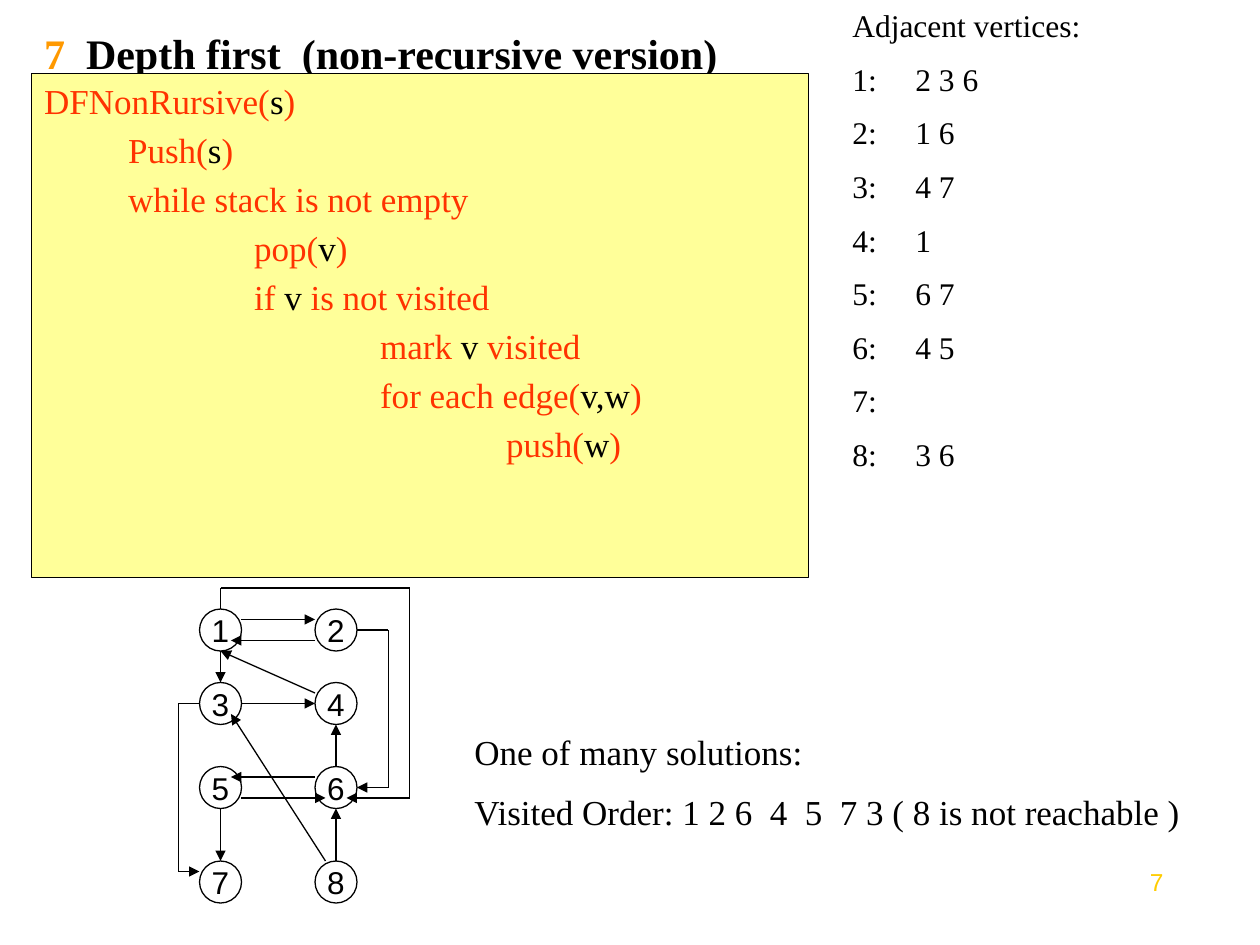
from dataclasses import dataclass
from itertools import cycle, product

from lxml import etree
from pptx import Presentation
from pptx.dml.color import RGBColor
from pptx.enum.shapes import MSO_CONNECTOR, MSO_SHAPE
from pptx.enum.text import MSO_ANCHOR, MSO_AUTO_SIZE, PP_ALIGN
from pptx.oxml.ns import qn
from pptx.util import Pt

STRAIGHT, OVAL = MSO_CONNECTOR.STRAIGHT, MSO_SHAPE.OVAL
TOP, MIDDLE = MSO_ANCHOR.TOP, MSO_ANCHOR.MIDDLE
FIXED, GROWING = MSO_AUTO_SIZE.NONE, MSO_AUTO_SIZE.SHAPE_TO_FIT_TEXT
LEFT, CENTER, RIGHT = PP_ALIGN.LEFT, PP_ALIGN.CENTER, PP_ALIGN.RIGHT


@dataclass(frozen=True)
class Theme:
    """Fonts, colours and type sizes of the slide."""
    serif: str = "Times New Roman"
    sans: str = "Arial"
    ink: str = "000000"
    accent: str = "FF9900"
    keyword: str = "FF3300"
    panel: str = "FFFF99"
    number: str = "FFCC00"
    title_size: int = 24
    text_size: int = 20
    label_size: int = 18
    number_size: int = 14
    line_width: float = 0.75


THEME = Theme()

CODE = [
    (0, "DFNonRursive(|s|)"),
    (1, "Push(|s|)"),
    (1, "while stack is not empty"),
    (2, "pop(|v|)"),
    (2, "if |v| is not visited"),
    (3, "mark |v| visited"),
    (3, "for each edge(|v,w|)"),
    (4, "push(|w|)"),
]
NEIGHBOURS = ["2 3 6", "1 6", "4 7", "1", "6 7", "4 5", "", "3 6"]
SOLUTION = ["One of many solutions:",
            "Visited Order: 1 2 6  4  5  7 3 ( 8 is not reachable )"]

NODE_COLUMNS, NODE_ROWS, NODE_SIZE = (12, 78), (12, 54, 102, 156), 24
ROUTES = [
    [(36, 18), (78, 18)],
    [(78, 30), (30, 30)],
    [(24, 36), (24, 54)],
    [(78, 60), (24, 36)],
    [(36, 66), (78, 66)],
    [(84, 156), (30, 72)],
    [(90, 102), (90, 78)],
    [(24, 126), (24, 156)],
    [(90, 156), (90, 126)],
    [(78, 108), (30, 108)],
    [(36, 120), (84, 120)],
    [(102, 24), (120, 24), (120, 114), (102, 114)],
    [(24, 12), (24, 0), (132, 0), (132, 120), (96, 120)],
    [(12, 66), (0, 66), (0, 162), (12, 162)],
]


def color(code):
    """Turn a hex code into a colour."""
    return RGBColor.from_string(code)


def place(shape, box):
    """Move a shape to a box of left, top, width and height."""
    for name, value in zip(("left", "top", "width", "height"), box):
        setattr(shape, name, Pt(value))


def set_frame(shape, **values):
    """Set text frame attributes from format values."""
    for name, value in values.items():
        setattr(shape.text_frame, name, value)


def outline(shape):
    """Give a shape or connector the common thin line."""
    shape.line.color.rgb = color(THEME.ink)
    shape.line.width = Pt(THEME.line_width)


def write(para, spans, size, font, bold=False, align=LEFT):
    """Add coloured spans of text to a paragraph."""
    para.alignment = align
    for text, code in spans:
        span = para.add_run()
        span.text = text
        span.font.color.rgb = color(code)
        for name, value in {"name": font, "size": Pt(size), "bold": bold}.items():
            setattr(span.font, name, value)


def set_layout(para, before, indent=0, tab=None):
    """Set space before in percent, left indent, no bullet and a tab stop."""
    properties = para._p.get_or_add_pPr()
    properties.set("marL", str(Pt(indent)))
    properties.set("indent", "0")
    spacing = etree.SubElement(properties, qn("a:spcBef"))
    etree.SubElement(spacing, qn("a:spcPct"), val=str(before * 1000))
    etree.SubElement(properties, qn("a:buNone"))
    if tab:
        stops = etree.SubElement(properties, qn("a:tabLst"))
        etree.SubElement(stops, qn("a:tab"), pos=str(Pt(tab)), algn="l")


def paragraphs(shape, count):
    """Return the given number of paragraphs in a shape."""
    frame = shape.text_frame
    return [frame.paragraphs[0]] + [frame.add_paragraph() for _ in range(count - 1)]


def add_title(page, box):
    """Fill the title placeholder."""
    title = page.shapes.title
    place(title, box)
    set_frame(title, vertical_anchor=MIDDLE, auto_size=FIXED)
    spans = [(" ", THEME.ink), ("7", THEME.accent),
             ("  Depth first  (non-recursive version)", THEME.ink)]
    write(title.text_frame.paragraphs[0], spans, THEME.title_size, THEME.serif, True)


def add_code(page, box):
    """Fill the body placeholder with the indented algorithm."""
    body = page.placeholders[1]
    place(body, box)
    body.fill.solid()
    body.fill.fore_color.rgb = color(THEME.panel)
    outline(body)
    set_frame(body, vertical_anchor=TOP, auto_size=FIXED)
    for para, (depth, line) in zip(paragraphs(body, len(CODE)), CODE):
        set_layout(para, 20, 72 * depth - 24 if depth else 0)
        spans = zip(line.split("|"), cycle((THEME.keyword, THEME.ink)))
        write(para, spans, THEME.text_size, THEME.serif)


def add_lines(page, box, lines, size):
    """Add a text box with one spaced paragraph for each line."""
    area = page.shapes.add_textbox(*map(Pt, box))
    set_frame(area, word_wrap=True, auto_size=GROWING)
    for para, line in zip(paragraphs(area, len(lines)), lines):
        set_layout(para, 50, tab=72)
        write(para, [(line, THEME.ink)], size, THEME.serif)


def add_node(group, box, label):
    """Add one numbered vertex."""
    node = group.shapes.add_shape(OVAL, *map(Pt, box))
    node.shadow.inherit = False
    node.fill.background()
    outline(node)
    set_frame(node, vertical_anchor=MIDDLE, word_wrap=False)
    write(node.text_frame.paragraphs[0], [(label, THEME.ink)],
          THEME.label_size, THEME.sans, align=CENTER)


def add_route(group, points):
    """Join points with lines and put an arrowhead at the last one."""
    for start, end in zip(points, points[1:]):
        edge = group.shapes.add_connector(STRAIGHT, *map(Pt, start + end))
        outline(edge)
        if end == points[-1]:
            etree.SubElement(edge.line._get_or_add_ln(), qn("a:tailEnd"), type="triangle")
        etree.SubElement(edge._element.spPr, qn("a:effectLst"))


def add_graph(page, box):
    """Draw the directed graph from the corner of its box."""
    left, top = box[:2]
    group = page.shapes.add_group_shape()
    for number, (y, x) in enumerate(product(NODE_ROWS, NODE_COLUMNS), 1):
        add_node(group, (left + x, top + y, NODE_SIZE, NODE_SIZE), str(number))
    for route in ROUTES:
        add_route(group, [(left + x, top + y) for x, y in route])


def add_page_number(page, box):
    """Add the page number at the lower right."""
    area = page.shapes.add_textbox(*map(Pt, box))
    set_frame(area, word_wrap=True)
    write(area.text_frame.paragraphs[0], [("7", THEME.number)],
          THEME.number_size, THEME.sans, align=RIGHT)


def main():
    """Build the slide and save the deck."""
    deck = Presentation()
    deck.slide_width, deck.slide_height = Pt(720), Pt(540)
    page = deck.slides.add_slide(deck.slide_layouts[1])
    adjacency = [f"{number}:\t{row}" for number, row in enumerate(NEIGHBOURS, 1)]
    add_title(page, (12, 12, 612, 36))
    add_code(page, (18, 42, 444, 288))
    add_graph(page, (102, 336, 132, 180))
    add_lines(page, (480, 0, 222, 291.6), ["Adjacent vertices:"] + adjacency, THEME.label_size)
    add_lines(page, (264, 414, 426, 67.7), SOLUTION, THEME.text_size)
    add_page_number(page, (624, 492, 48, 37.5))
    deck.save("out.pptx")


if __name__ == "__main__":
    main()
